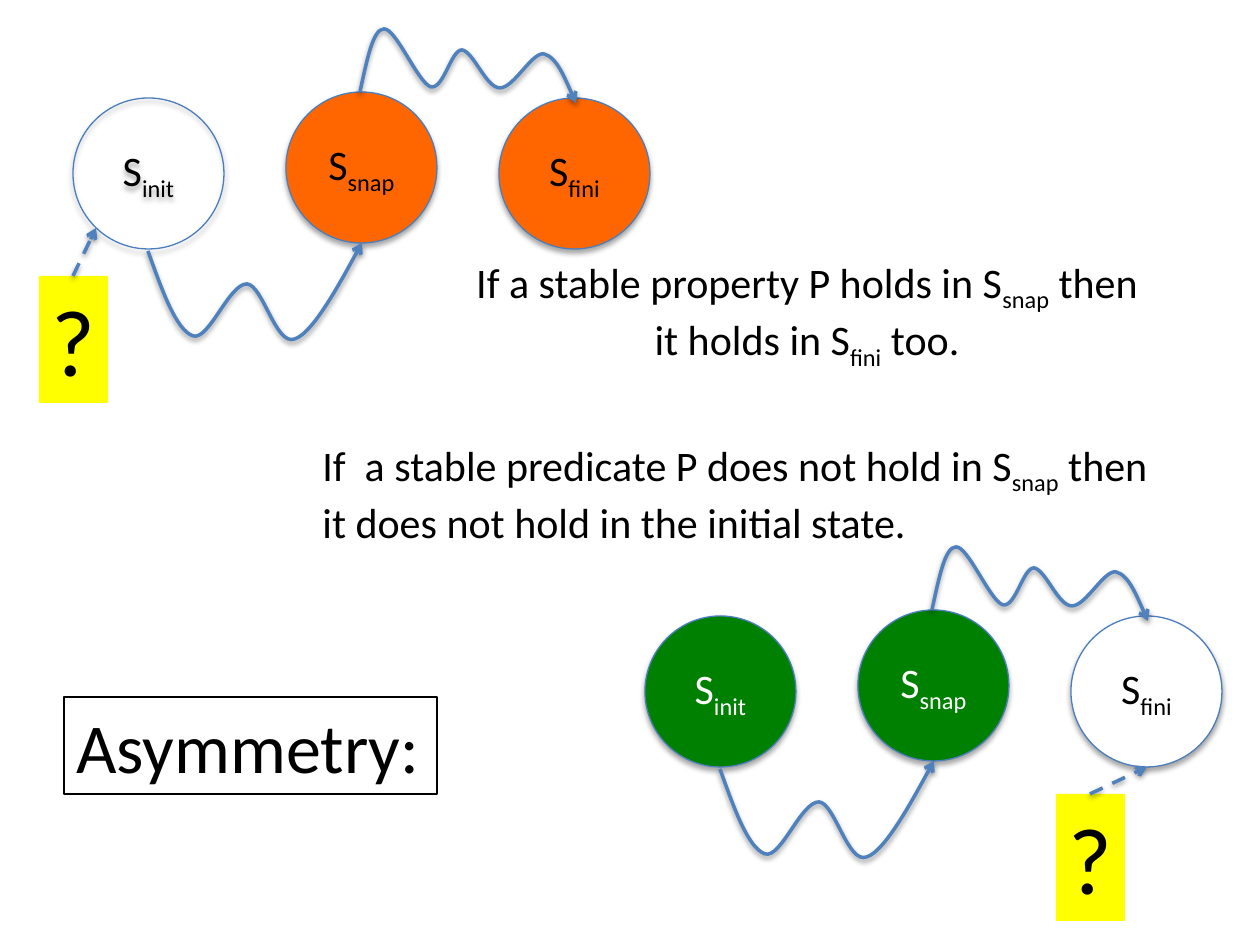
from lxml.etree import SubElement as Sub
from pptx import Presentation
from pptx.dml.color import RGBColor
from pptx.enum.dml import MSO_LINE_DASH_STYLE as DASH
from pptx.enum.shapes import MSO_CONNECTOR as CONN, MSO_SHAPE as SHAPE
from pptx.enum.text import MSO_ANCHOR as ANCHOR, PP_ALIGN as ALIGN
from pptx.oxml.ns import qn
from pptx.util import Pt

PX = 914400 // 126
BLACK, WHITE, ORANGE, GREEN = "000000", "FFFFFF", "FF6600", "008000"
YELLOW, EDGE, ARROW = "FFFF00", "4B7EBC", "4F81BD"
SIZE = 151  # diameter of a state

# Each state: name, left, top within a diagram
STATES = [("init", 73, 98), ("snap", 286, 92), ("fini", 499, 98)]

# Each path: start, then control, control, end for every curve
PATHS = [
    [(148, 251),
     (162, 290), (176, 330), (193, 336),
     (209, 341), (229, 284), (247, 284),
     (263, 285), (276, 347), (295, 339),
     (314, 333), (362, 243), (362, 243)],
    [(360, 92),
     (367, 60), (373, 29), (384, 29),
     (396, 28), (418, 83), (431, 87),
     (444, 89), (451, 50), (462, 50),
     (474, 52), (486, 88), (500, 88),
     (514, 88), (532, 52), (544, 54),
     (557, 57), (576, 103), (576, 103)],
]

# Offset, (fill, text) of each state, mark box, arrow from and to
DIAGRAMS = [
    dict(at=(572, 518),
         looks=[(GREEN, WHITE), (GREEN, WHITE), (WHITE, BLACK)],
         mark=(1056, 794), link=(1090, 794, 1147, 767)),
    dict(at=(0, 0),
         looks=[(None, BLACK), (ORANGE, BLACK), (ORANGE, BLACK)],
         mark=(39, 276), link=(73, 276, 96, 228)),
]

# Each text: box, wrap, alignment, paragraphs of (words, is subscript)
TEXTS = [
    ((310, 433, 868, 115), True, ALIGN.LEFT, [
        [("If  a stable predicate P does not hold in S", False), ("snap", True),
         (" then it does not hold in the initial state.", False)]]),
    ((456, 250, 702, 115), False, ALIGN.CENTER, [
        [("If a stable property P holds in S", False), ("snap", True),
         (" then", False)],
        [("it holds in S", False), ("fini", True), (" too.", False)]]),
]
MARK = [[("?", False)]]
LABEL = [[("Asymmetry:", False)]]


def rgb(code):
    return RGBColor.from_string(code)


def emu(*nums):
    return [n * PX for n in nums]


def paint(fill, color):
    if color:
        fill.solid()
        fill.fore_color.rgb = rgb(color)
    else:
        fill.background()


def shade(shape, alpha, dist):
    """Cast a soft shadow straight down."""
    props = shape._element.spPr
    list_ = props.find(qn("a:effectLst"))
    if list_ is None:
        list_ = Sub(props, qn("a:effectLst"))
    cast = Sub(list_, qn("a:outerShdw"), blurRad=str(Pt(3.1)),
               dist=str(Pt(dist)), dir="5400000", rotWithShape="0")
    tone = Sub(cast, qn("a:srgbClr"), val=BLACK)
    Sub(tone, qn("a:alpha"), val=str(alpha * 1000))


def stroke(shape):
    """Give a path or connector its blue line, arrowhead and shadow."""
    line = shape.line
    line.color.rgb = rgb(ARROW)
    line.width = Pt(2)
    Sub(line._get_or_add_ln(), qn("a:tailEnd"), type="arrow")
    shade(shape, 38, 1.6)


def write(frame, paras, size, color=BLACK, align=ALIGN.LEFT):
    for i, runs in enumerate(paras):
        para = frame.add_paragraph() if i else frame.paragraphs[0]
        para.alignment = align
        for words, sub in runs:
            run = para.add_run()
            run.text = words
            font = run.font
            font.name, font.size = "Calibri", Pt(size)
            font.color.rgb = rgb(color)
            if sub:
                font._element.set("baseline", "-25000")


def add_text(shapes, box, paras, size, wrap=False, align=ALIGN.LEFT):
    shape = shapes.add_textbox(*emu(*box))
    shape.text_frame.word_wrap = wrap
    write(shape.text_frame, paras, size, align=align)
    return shape


def add_state(shapes, name, x, y, fill, color):
    ball = shapes.add_shape(SHAPE.OVAL, *emu(x, y, SIZE, SIZE))
    ball.shadow.inherit = False
    paint(ball.fill, fill)
    ball.line.color.rgb = rgb(EDGE)
    ball.line.width = Pt(0.75)
    shade(ball, 35, 1.8)
    ball.text_frame.vertical_anchor = ANCHOR.MIDDLE
    write(ball.text_frame, [[("S", False), (name, True)]], 24, color, ALIGN.CENTER)


def add_wave(shapes, points):
    """Draw the points as straight steps, then join each three as a curve."""
    start, *rest = points
    pen = shapes.build_freeform(*start, scale=PX)
    pen.add_line_segments(rest, close=False)
    wave = pen.convert_to_shape()
    wave.shadow.inherit = False
    wave.fill.background()
    track = next(wave._element.iter(qn("a:path")))
    steps = track.findall(qn("a:lnTo"))
    for i in range(0, len(steps), 3):
        curve = Sub(track, qn("a:cubicBezTo"))
        for step in steps[i:i + 3]:
            curve.append(step[0])
            track.remove(step)
    stroke(wave)


def add_diagram(shapes, at, looks, mark, link):
    dx, dy = at
    for (name, x, y), (fill, color) in zip(STATES, looks):
        add_state(shapes, name, x + dx, y + dy, fill, color)
    for points in PATHS:
        add_wave(shapes, [(x + dx, y + dy) for x, y in points])
    box = add_text(shapes, (*mark, 69, 127), MARK, 54)
    paint(box.fill, YELLOW)
    arrow = shapes.add_connector(CONN.STRAIGHT, *emu(*link))
    arrow.line.dash_style = DASH.DASH
    stroke(arrow)


def main():
    deck = Presentation()
    deck.slide_width, deck.slide_height = emu(1260, 945)
    shapes = deck.slides.add_slide(deck.slide_layouts[6]).shapes
    for diagram in DIAGRAMS:
        add_diagram(shapes, **diagram)
    for box, wrap, align, paras in TEXTS:
        add_text(shapes, box, paras, 24, wrap, align)
    label = add_text(shapes, (64, 697, 373, 97), LABEL, 40)
    label.line.color.rgb = rgb(BLACK)
    label.line.width = Pt(0.75)
    deck.save("out.pptx")


if __name__ == "__main__":
    main()
